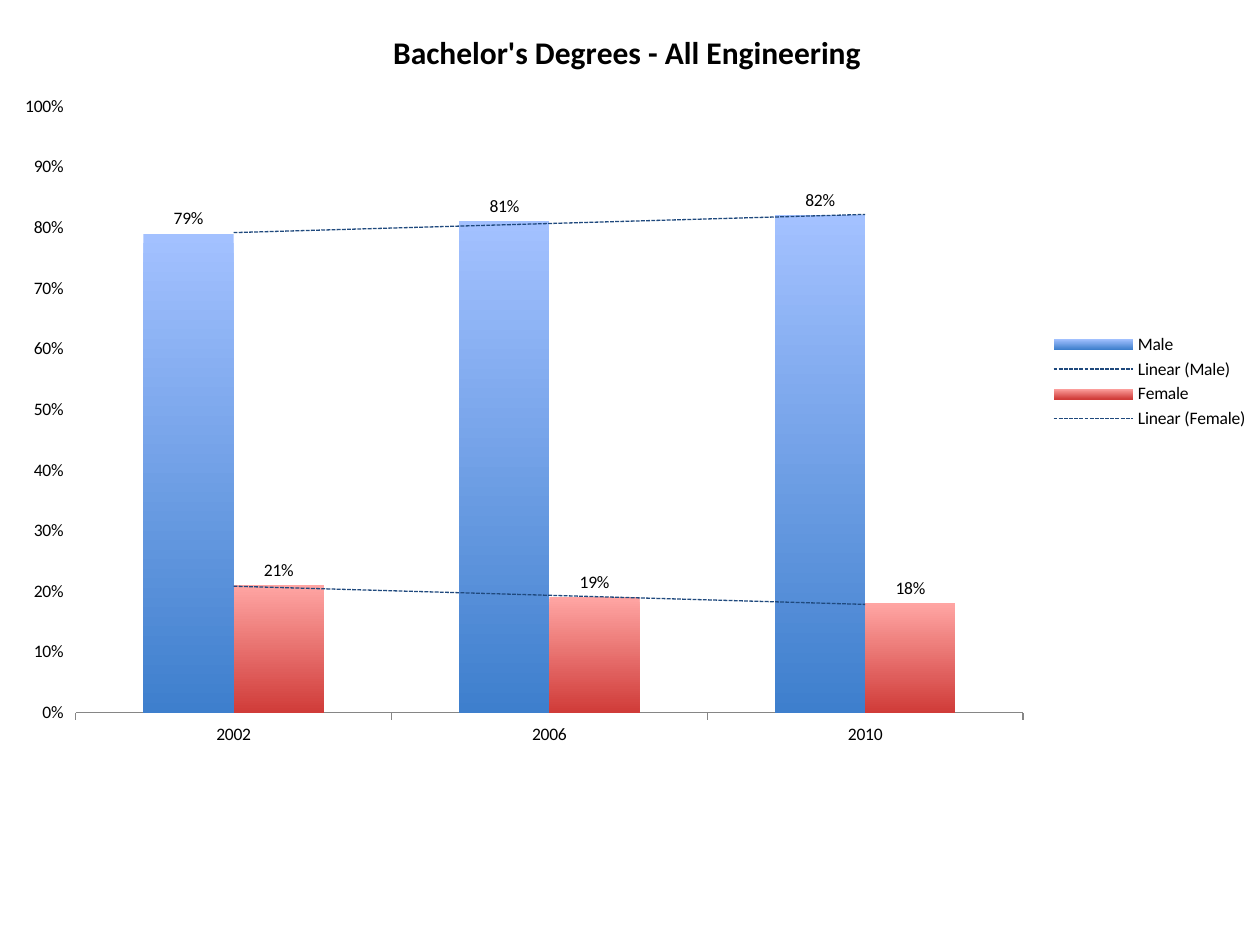
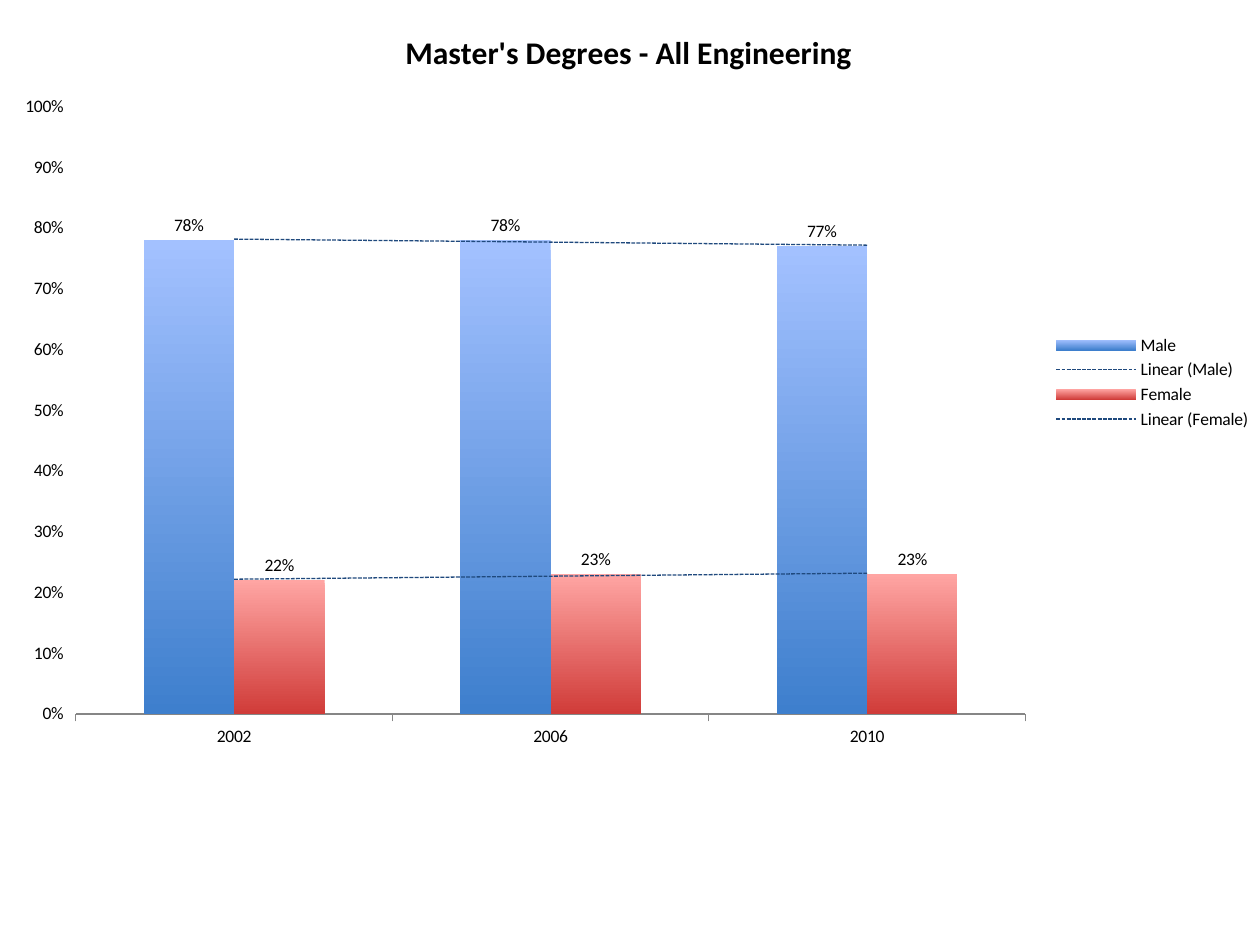
from dataclasses import dataclass

import lxml.etree
import pptx
import pptx.chart.data
import pptx.dml.color
import pptx.enum.chart
import pptx.oxml
import pptx.oxml.ns
import pptx.util

FONT = "Calibri"
BLACK, AXIS_GREY, TREND_BLUE = "000000", "868686", "1F497D"
SLIDE_WIDTH, SLIDE_HEIGHT = pptx.util.Inches(10), pptx.util.Inches(7.5)
YEARS = (2002, 2006, 2010)
# Plot area as percentages of the chart: left, top, width, height
PLOT_PERCENT = {"x": 6, "y": 13.7, "w": 75.1, "h": 80}


@dataclass(frozen=True)
class BarStyle:
    name: str
    top_color: str
    bottom_color: str


@dataclass(frozen=True)
class DegreePage:
    title: str
    male_shares: tuple[float, ...]
    female_shares: tuple[float, ...]
    width: float   # percentage of the slide width
    height: float  # percentage of the slide height


MALE = BarStyle("Male", "A3C1FF", "3E7FCD")
FEMALE = BarStyle("Female", "FFA5A3", "D03C39")

PAGES = (
    DegreePage("Bachelor's Degrees - All Engineering ",
               (0.79, 0.81, 0.82), (0.21, 0.19, 0.18), 100.13, 80.2),
    DegreePage("Master's Degrees - All Engineering ",
               (0.78, 0.78, 0.77), (0.22, 0.23, 0.23), 100.35, 80.35),
)


def rgb(color: str) -> pptx.dml.color.RGBColor:
    return pptx.dml.color.RGBColor.from_string(color)


def set_font(font, size: float, bold: bool = False) -> None:
    font.name, font.size, font.bold = FONT, pptx.util.Pt(size), bold
    font.color.rgb = rgb(BLACK)


def chart_xml(markup: str) -> lxml.etree.ElementBase:
    """Parse chart markup, declaring the c: and a: prefixes on its root."""
    head, rest = markup.split(">", 1)
    return pptx.oxml.parse_xml(f"{head} {pptx.oxml.ns.nsdecls('c', 'a')}>{rest}")


def add_trend_line(series) -> None:
    trend = chart_xml(
        '<c:trendline><c:spPr><a:ln w="9525"><a:solidFill>'
        f'<a:srgbClr val="{TREND_BLUE}"/></a:solidFill><a:prstDash val="sysDash"/></a:ln></c:spPr>'
        '<c:trendlineType val="linear"/><c:dispRSqr val="0"/><c:dispEq val="0"/></c:trendline>')
    series._element.find(pptx.oxml.ns.qn("c:cat")).addprevious(trend)


def place_plot(chart) -> None:
    modes = "".join(f'<c:{key}Mode val="edge"/>' for key in "xy")
    shares = "".join(f'<c:{key} val="{percent / 100:.3f}"/>'
                     for key, percent in PLOT_PERCENT.items())
    layout = chart_xml('<c:layout><c:manualLayout><c:layoutTarget val="inner"/>'
                       f'{modes}{shares}</c:manualLayout></c:layout>')
    plot_area = chart._chartSpace.chart.plotArea
    for old_layout in plot_area.findall(pptx.oxml.ns.qn("c:layout")):
        plot_area.remove(old_layout)
    plot_area.insert(0, layout)


def style_series(series, style: BarStyle) -> None:
    fill = series.format.fill
    fill.gradient()
    fill.gradient_angle = 270
    for stop, color in zip(fill.gradient_stops, (style.top_color, style.bottom_color)):
        stop.color.rgb = rgb(color)
    series.invert_if_negative = False
    labels = series.data_labels
    labels.show_value = True
    labels.number_format, labels.number_format_is_linked = "0%", False
    labels.position = pptx.enum.chart.XL_LABEL_POSITION.OUTSIDE_END
    set_font(labels.font, 10)
    add_trend_line(series)


def style_axes(chart) -> None:
    for axis in (chart.category_axis, chart.value_axis):
        axis.has_major_gridlines = False
        axis.major_tick_mark = pptx.enum.chart.XL_TICK_MARK.OUTSIDE
        axis.minor_tick_mark = pptx.enum.chart.XL_TICK_MARK.NONE
        set_font(axis.tick_labels.font, 10)
    line = chart.category_axis.format.line
    line.color.rgb, line.width = rgb(AXIS_GREY), pptx.util.Pt(0.75)
    values = chart.value_axis
    values.minimum_scale, values.maximum_scale, values.major_unit = 0, 1, 0.1
    values.format.line.fill.background()
    values.tick_labels.number_format = "0%"
    values.tick_labels.number_format_is_linked = False


def add_degree_chart(slide, page: DegreePage) -> None:
    data = pptx.chart.data.CategoryChartData(number_format="0%")
    data.categories = YEARS
    data.add_series(MALE.name, page.male_shares)
    data.add_series(FEMALE.name, page.female_shares)
    chart = slide.shapes.add_chart(
        pptx.enum.chart.XL_CHART_TYPE.COLUMN_CLUSTERED, 0, pptx.util.Inches(0.02),
        int(SLIDE_WIDTH * page.width / 100), int(SLIDE_HEIGHT * page.height / 100), data).chart
    set_font(chart.font, 10)

    # Title and legend
    chart.has_title = True
    title = chart.chart_title
    title.include_in_layout = False
    paragraph = title.text_frame.paragraphs[0]
    paragraph.text = page.title
    set_font(paragraph.font, 18, bold=True)
    chart.has_legend = True
    chart.legend.position = pptx.enum.chart.XL_LEGEND_POSITION.RIGHT
    chart.legend.include_in_layout = False
    set_font(chart.legend.font, 10)

    # Bars, trend lines and axes
    plot = chart.plots[0]
    plot.gap_width, plot.overlap, plot.vary_by_categories = 150, 0, False
    for series, style in zip(plot.series, (MALE, FEMALE)):
        style_series(series, style)
    style_axes(chart)
    place_plot(chart)


deck = pptx.Presentation()
deck.slide_width, deck.slide_height = SLIDE_WIDTH, SLIDE_HEIGHT
for degree_page in PAGES:
    add_degree_chart(deck.slides.add_slide(deck.slide_layouts[6]), degree_page)
deck.save("out.pptx")
